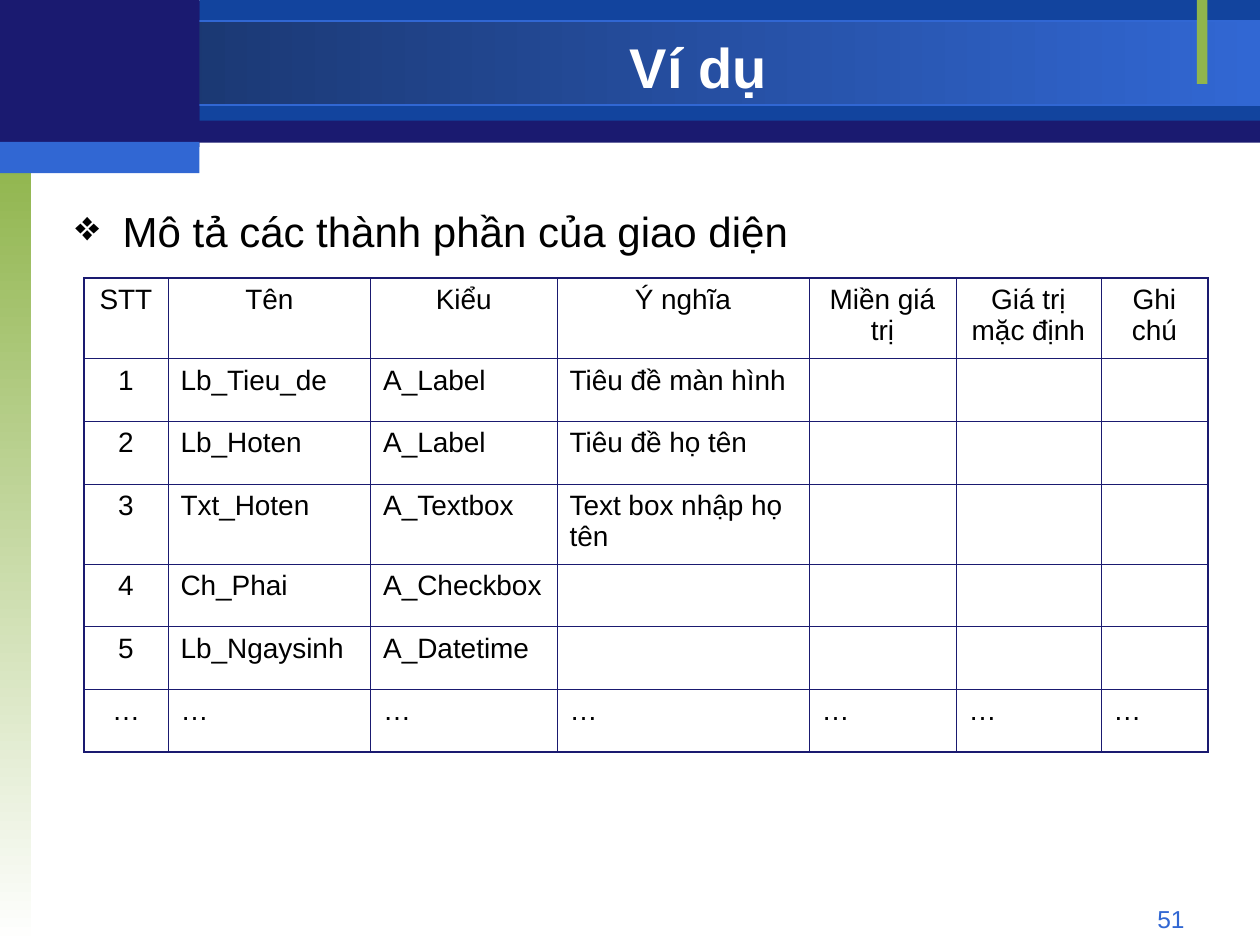
from dataclasses import dataclass
from typing import Optional

import pptx
import pptx.dml.color
import pptx.enum.shapes
import pptx.enum.text
import pptx.oxml.ns
import pptx.util
from lxml import etree

ALIGN = pptx.enum.text.PP_ALIGN
ANCHOR = pptx.enum.text.MSO_ANCHOR


@dataclass(frozen=True)
class Theme:
    font: str = "Arial"
    navy: str = "1A1A70"
    blue: str = "12449E"
    bright: str = "3167D3"
    dark: str = "173062"
    green: str = "90B54D"
    white: str = "FFFFFF"
    black: str = "000000"
    title_size: int = 32
    body_size: int = 24
    table_size: int = 16
    number_size: int = 14
    outer_line: float = 1.08
    inner_line: float = 0.45


@dataclass(frozen=True)
class Box:
    """A place on the grid of 120 columns by 90 rows."""
    left: float
    top: float
    width: float
    height: float

    def lengths(self) -> list[int]:
        return [grid(n) for n in (self.left, self.top, self.width, self.height)]


@dataclass(frozen=True)
class Band:
    box: Box
    color: str
    end_color: Optional[str] = None
    angle: int = 0
    line: Optional[str] = None


THEME = Theme()
COLUMNS, ROWS = 120, 90
UNIT = pptx.util.Inches(10) / COLUMNS
SIDE = 19  # columns taken by the corner block

BANDS = [
    Band(Box(0, 0.1, COLUMNS, 13.5), THEME.navy),
    Band(Box(SIDE, 0, COLUMNS - SIDE, 11.5), THEME.blue),
    Band(Box(0, 2, COLUMNS, 8), THEME.dark, THEME.bright, line=THEME.bright),
    Band(Box(0, 15, 3, 75), THEME.green, THEME.white, angle=270),
    Band(Box(114, 0, 1, 8), THEME.green),
    Band(Box(0, 0, SIDE, 14), THEME.navy),
    Band(Box(0, 13.5, SIDE, 3), THEME.bright),
]

TABLE_ROWS = [
    ["STT", "Tên", "Kiểu", "Ý nghĩa", "Miền giá trị", "Giá trị mặc định", "Ghi chú"],
    ["1", "Lb_Tieu_de", "A_Label", "Tiêu đề màn hình"],
    ["2", "Lb_Hoten", "A_Label", "Tiêu đề họ tên"],
    ["3", "Txt_Hoten", "A_Textbox", "Text box nhập họ tên"],
    ["4", "Ch_Phai", "A_Checkbox"],
    ["5", "Lb_Ngaysinh", "A_Datetime"],
    ["…"] * 7,
]
COLUMN_WIDTHS = [8, 19.3, 17.75, 24, 14, 13.8, 10.2]
ROW_HEIGHT, TALL_ROW_HEIGHT = 5.97, 7.65
TALL_ROWS = {0, 3}


def grid(units: float) -> int:
    return round(units * UNIT)


def rgb(color: str) -> pptx.dml.color.RGBColor:
    return pptx.dml.color.RGBColor.from_string(color)


def add_element(parent, tag: str, **attributes: str):
    return etree.SubElement(parent, pptx.oxml.ns.qn(tag), attributes)


def format_paragraph(paragraph, size: int, color: str, align=ALIGN.LEFT, bold=False) -> None:
    paragraph.alignment = align
    font = paragraph.font
    font.name, font.size, font.bold = THEME.font, pptx.util.Pt(size), bold
    font.color.rgb = rgb(color)


def draw_band(slide, band: Band) -> None:
    shape = slide.shapes.add_shape(
        pptx.enum.shapes.MSO_SHAPE.RECTANGLE, *band.box.lengths())
    shape.shadow.inherit = False
    if band.end_color:
        shape.fill.gradient()
        shape.fill.gradient_angle = band.angle
        for stop, color in zip(shape.fill.gradient_stops, (band.color, band.end_color)):
            stop.color.rgb = rgb(color)
    else:
        shape.fill.solid()
        shape.fill.fore_color.rgb = rgb(band.color)
    if band.line:
        shape.line.color.rgb = rgb(band.line)
        shape.line.width = pptx.util.Pt(0.75)
    else:
        shape.line.fill.background()


def place_title(slide, box: Box, text: str) -> None:
    title = slide.shapes.title
    title.left, title.top, title.width, title.height = box.lengths()
    # Bring the title in front of the bands
    title._element.getparent().append(title._element)
    frame = title.text_frame
    frame.text = text
    frame.auto_size = pptx.enum.text.MSO_AUTO_SIZE.NONE
    frame.vertical_anchor = ANCHOR.MIDDLE
    format_paragraph(frame.paragraphs[0], THEME.title_size, THEME.white, ALIGN.CENTER, True)


def add_text(slide, box: Box, text: str):
    frame = slide.shapes.add_textbox(*box.lengths()).text_frame
    frame.word_wrap = True
    frame.text = text
    return frame.paragraphs[0]


def add_bullet(paragraph, character: str, color: str, indent: float) -> None:
    properties = paragraph._p.get_or_add_pPr()
    properties.set("marL", str(grid(indent)))
    properties.set("indent", str(-grid(indent)))
    add_element(add_element(properties, "a:buClr"), "a:srgbClr", val=color)
    add_element(properties, "a:buChar", char=character)


def draw_borders(cell, outer_sides: dict[str, bool]) -> None:
    properties = cell._tc.get_or_add_tcPr()
    for side, is_outer in outer_sides.items():
        width = pptx.util.Pt(THEME.outer_line if is_outer else THEME.inner_line)
        line = add_element(properties, f"a:ln{side}", w=str(int(width)))
        add_element(add_element(line, "a:solidFill"), "a:srgbClr", val=THEME.navy)


def draw_table(slide, left: float, top: float) -> None:
    heights = [TALL_ROW_HEIGHT if i in TALL_ROWS else ROW_HEIGHT
               for i in range(len(TABLE_ROWS))]
    box = Box(left, top, sum(COLUMN_WIDTHS), sum(heights))
    table = slide.shapes.add_table(len(heights), len(COLUMN_WIDTHS), *box.lengths()).table
    table.first_row = table.horz_banding = False
    for column, width in zip(table.columns, COLUMN_WIDTHS):
        column.width = grid(width)
    last_row, last_column = len(heights) - 1, len(COLUMN_WIDTHS) - 1
    for i, (row, height) in enumerate(zip(table.rows, heights)):
        row.height = grid(height)
        for j, cell in enumerate(row.cells):
            draw_borders(cell, {"L": j == 0, "R": j == last_column,
                                "T": i == 0, "B": i == last_row})
            cell.fill.background()
            if j < len(TABLE_ROWS[i]):
                cell.text = TABLE_ROWS[i][j]
                align = ALIGN.CENTER if i == 0 or j == 0 else ALIGN.LEFT
                format_paragraph(cell.text_frame.paragraphs[0],
                                 THEME.table_size, THEME.black, align)


def main() -> None:
    presentation = pptx.Presentation()
    presentation.slide_width = grid(COLUMNS)
    presentation.slide_height = grid(ROWS)
    slide = presentation.slides.add_slide(presentation.slide_layouts[5])

    # Header and side bands
    for band in BANDS:
        draw_band(slide, band)

    # Slide number and title
    number = add_text(slide, Box(86, 85.5, 28, 3.25), "51")
    format_paragraph(number, THEME.number_size, THEME.bright, ALIGN.RIGHT)
    place_title(slide, Box(SIDE, 2.75, 95, 7), "Ví dụ")

    # Bullet line
    body = add_text(slide, Box(6, 18, 107, 66), "Mô tả các thành phần của giao diện")
    add_bullet(body, "❖", THEME.black, 4.5)
    body.line_spacing = 1.2
    format_paragraph(body, THEME.body_size, THEME.black)

    # Interface elements
    draw_table(slide, 8, 26.5)
    presentation.save("out.pptx")


if __name__ == "__main__":
    main()
